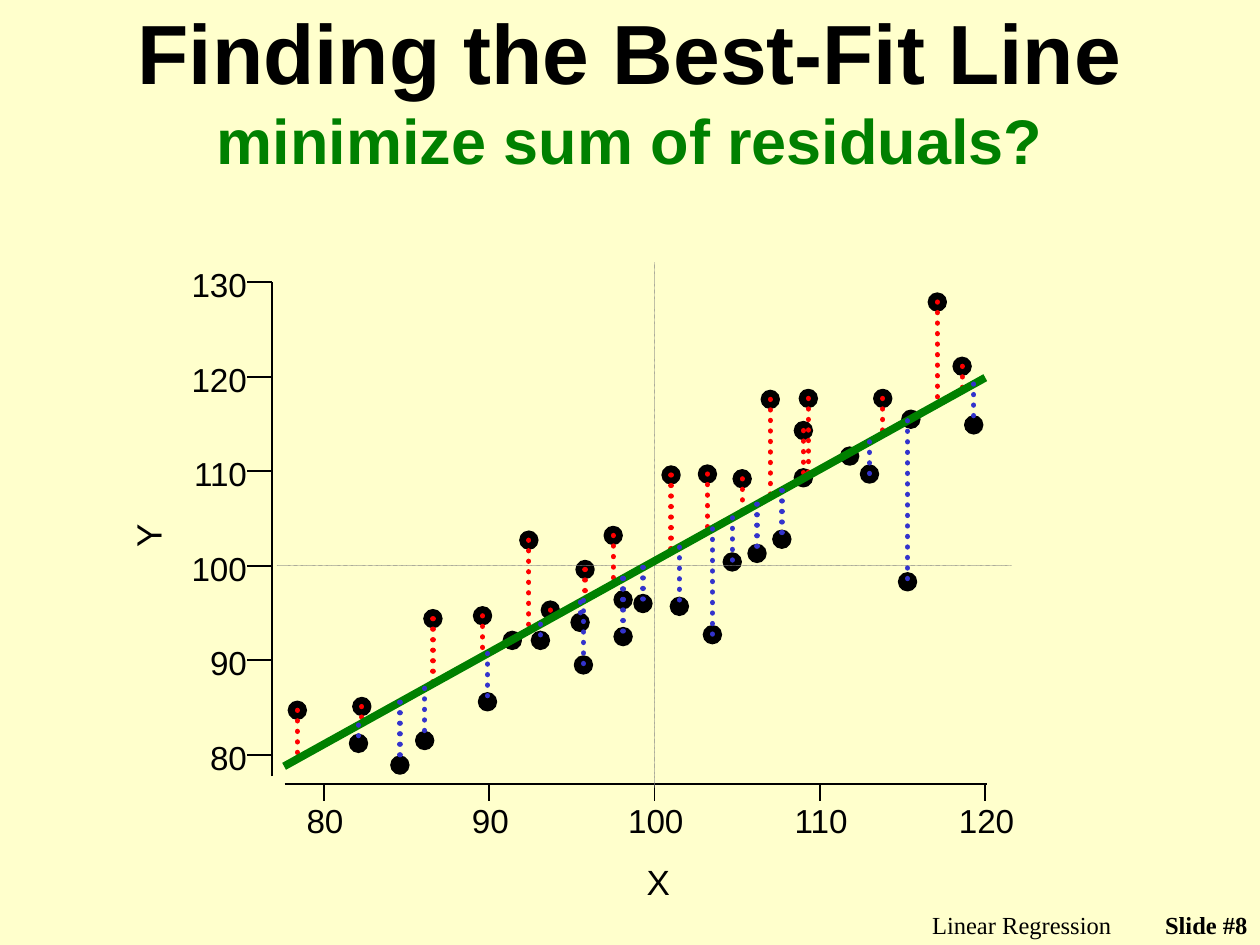
"""Build a slide that plots data, a best-fit line and the residuals it leaves."""
import dataclasses

import pptx
import pptx.dml.color
import pptx.enum.dml
import pptx.enum.shapes
import pptx.enum.text
import pptx.oxml.ns
import pptx.util
from lxml import etree

Inches = pptx.util.Inches
Pt = pptx.util.Pt
Align = pptx.enum.text.PP_ALIGN
rgb = pptx.dml.color.RGBColor.from_string


@dataclasses.dataclass(frozen=True)
class Theme:
    back: str = "FFFFCC"
    ink: str = "000000"
    fit: str = "008000"
    above: str = "FF0000"
    below: str = "3333CC"
    guide: str = "808080"
    sans: str = "Arial"
    serif: str = "Times New Roman"
    head: int = 48
    sub: int = 36
    name: int = 20
    tick: int = 19
    foot: int = 14
    hair: float = 0.25
    thin: float = 1
    dots: float = 3
    bold: float = 4.5


theme = Theme()

LOW = 80
STEP = 10
X_ZERO, X_GAP = 2.57, 1.3125
Y_ZERO, Y_GAP = 5.99, 0.75
X_AXIS, Y_AXIS = 6.22, 2.16
X_TICK, Y_TICK = 0.14, 0.2
DOT = 0.14
MEAN = 100
SLOPE, LEVEL = 0.97, 100.5
FIT_FROM, FIT_TO = 77.6, 120
NEAR = 0.5

data = (
    (78.4, 84.7), (82.1, 81.2), (82.3, 85.1), (84.6, 78.9), (86.1, 81.5),
    (86.6, 94.4), (89.6, 94.7), (89.9, 85.6), (91.4, 92.1), (92.4, 102.7),
    (93.1, 92.1), (93.7, 95.3), (95.5, 94), (95.7, 89.5), (95.8, 99.6),
    (97.5, 103.2), (98.1, 92.5), (98.1, 96.4), (99.3, 96), (101, 109.6),
    (101.5, 95.7), (103.2, 109.7), (103.5, 92.7), (104.7, 100.4),
    (105.3, 109.2), (106.2, 101.3), (107, 117.6), (107.7, 102.8),
    (109, 114.3), (109, 109.3), (109.3, 117.7), (111.8, 111.6),
    (113, 109.7), (113.8, 117.7), (115.3, 98.3), (115.5, 115.5),
    (117.1, 127.9), (118.6, 121.1), (119.3, 114.9))


def place(x, y):
    return (X_ZERO + (x - LOW) / STEP * X_GAP,
            Y_ZERO - (y - LOW) / STEP * Y_GAP)


def stroke(home, start, end, color, width, dotted=False):
    line = home.add_connector(
        pptx.enum.shapes.MSO_CONNECTOR.STRAIGHT,
        *(Inches(value) for value in (*start, *end)))
    line.line.color.rgb = rgb(color)
    line.line.width = Pt(width)
    if dotted:
        line.line.dash_style = pptx.enum.dml.MSO_LINE.ROUND_DOT
        line.get_or_add_ln().set("cap", "rnd")
    etree.SubElement(line.element.spPr, pptx.oxml.ns.qn("a:effectLst"))


deck = pptx.Presentation()
deck.slide_width = Inches(10)
deck.slide_height = Inches(7.5)
slide = deck.slides.add_slide(deck.slide_layouts[5])
slide.background.fill.solid()
slide.background.fill.fore_color.rgb = rgb(theme.back)
shapes = slide.shapes

title = shapes.title
title.left, title.top = Inches(0.75), Inches(0.08)
title.width, title.height = Inches(8.5), Inches(1.25)
frame = title.text_frame
frame.word_wrap = True
frame.auto_size = pptx.enum.text.MSO_AUTO_SIZE.NONE
frame.vertical_anchor = pptx.enum.text.MSO_ANCHOR.MIDDLE
para = frame.paragraphs[0]
para.alignment = Align.CENTER
for text, size, color in (
        ("Finding the Best-Fit Line", theme.head, theme.ink),
        ("minimize sum of residuals?", theme.sub, theme.fit)):
    if para.runs:
        para.add_line_break()
    run = para.add_run()
    run.text = text
    run.font.name = theme.sans
    run.font.size = Pt(size)
    run.font.bold = True
    run.font.color.rgb = rgb(color)

for text, left, width, bold in (
        ("Linear Regression", 5.75, 3.17, False), ("Slide #8", 8.92, 1.08, True)):
    box = shapes.add_textbox(Inches(left), Inches(7.17), Inches(width), Inches(0.25))
    box.text_frame.word_wrap = True
    para = box.text_frame.paragraphs[0]
    para.alignment = Align.RIGHT
    run = para.add_run()
    run.text = text
    run.font.name = theme.serif
    run.font.size = Pt(theme.foot)
    run.font.bold = bold
    run.font.color.rgb = rgb(theme.ink)

axes = shapes.add_group_shape().shapes
labels = [("X", 5.13, 6.83, 0.19, theme.name, Align.CENTER, 0),
          ("Y", 1.07, 4.09, 0.19, theme.name, Align.CENTER, 270)]
for value in range(80, 121, STEP):
    x, _ = place(value, LOW)
    stroke(axes, (x, X_AXIS), (x, X_AXIS + X_TICK), theme.ink, theme.thin)
    labels.append((str(value), x - 0.22, X_AXIS + 0.13, 0.46, theme.tick,
                   Align.CENTER, 0))
for value in range(80, 131, STEP):
    _, y = place(LOW, value)
    stroke(axes, (Y_AXIS, y), (Y_AXIS - Y_TICK, y), theme.ink, theme.thin)
    labels.append((str(value), Y_AXIS - 0.66, y - 0.14, 0.46, theme.tick,
                   Align.RIGHT, 0))
stroke(axes, (2.26, X_AXIS), (7.83, X_AXIS), theme.ink, theme.thin)
stroke(axes, (Y_AXIS, 6.16), (Y_AXIS, 2.24), theme.ink, theme.thin)

for text, left, top, width, size, align, turn in labels:
    box = axes.add_textbox(Inches(left), Inches(top), Inches(width), Inches(0.32))
    box.rotation = turn
    frame = box.text_frame
    frame.word_wrap = True
    frame.margin_left = frame.margin_right = 0
    frame.margin_top = frame.margin_bottom = 0
    para = frame.paragraphs[0]
    para.alignment = align
    run = para.add_run()
    run.text = text
    run.font.name = theme.sans
    run.font.size = Pt(size)
    run.font.color.rgb = rgb(theme.ink)

points = shapes.add_group_shape().shapes
above, below = [], []
for x, y in data:
    across, down = place(x, y)
    dot = points.add_shape(
        pptx.enum.shapes.MSO_SHAPE.OVAL, Inches(across - DOT / 2),
        Inches(down - DOT / 2), Inches(DOT), Inches(DOT))
    dot.shadow.inherit = False
    dot.fill.solid()
    dot.fill.fore_color.rgb = rgb(theme.ink)
    dot.line.color.rgb = rgb(theme.ink)
    dot.line.width = Pt(theme.thin)
    guess = LEVEL + SLOPE * (x - MEAN)
    if y - guess > NEAR:
        above.append((place(x, y), place(x, guess)))
    elif guess - y > NEAR:
        below.append((place(x, guess), place(x, y)))

x, y = place(MEAN, MEAN)
stroke(shapes, (x, 6.25), (x, 2.08), theme.guide, theme.hair, True)
stroke(shapes, (2.2, y), (8.03, y), theme.guide, theme.hair, True)

for start, end in above:
    stroke(shapes, start, end, theme.above, theme.dots, True)
ends = [place(x, LEVEL + SLOPE * (x - MEAN)) for x in (FIT_FROM, FIT_TO)]
stroke(shapes, *ends, theme.fit, theme.bold)
for start, end in below:
    stroke(shapes, start, end, theme.below, theme.dots, True)

deck.save("out.pptx")
